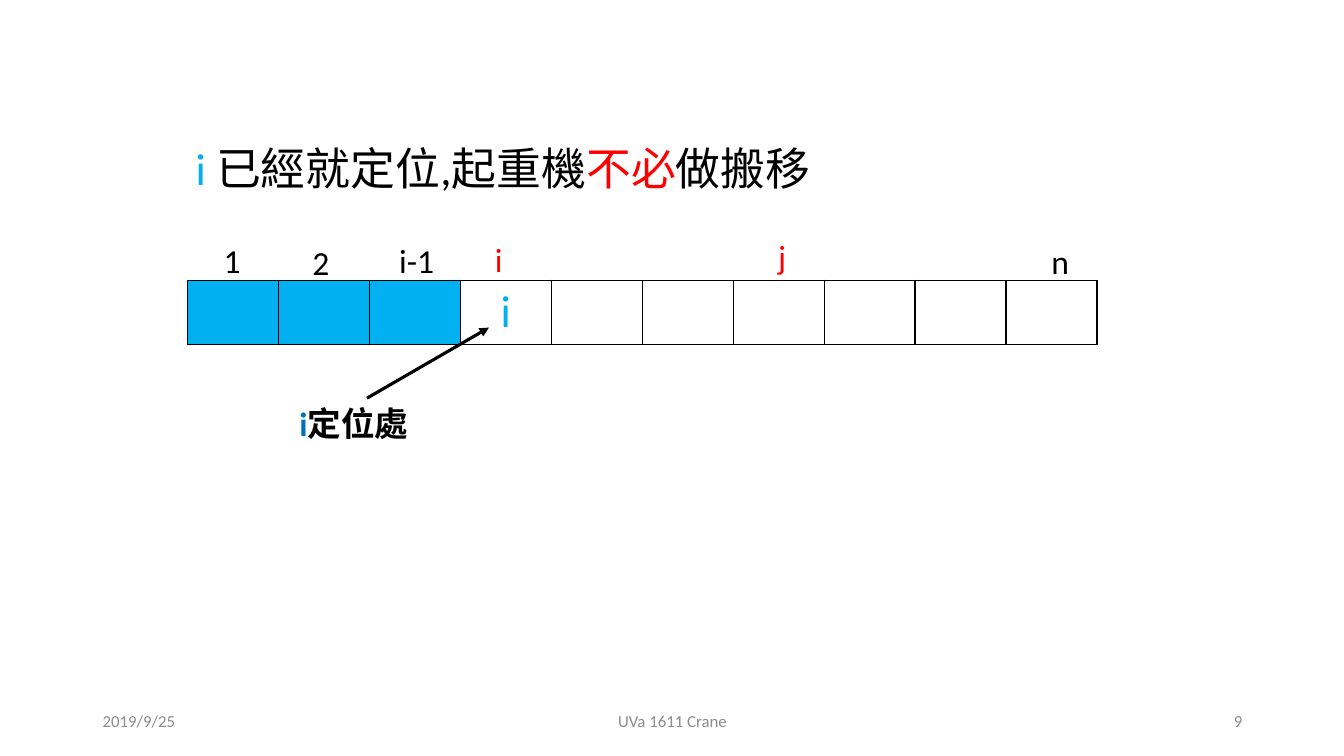
from lxml.etree import SubElement
from pptx import Presentation
from pptx.dml.color import RGBColor
from pptx.enum.shapes import MSO_CONNECTOR
from pptx.enum.text import MSO_ANCHOR, MSO_AUTO_SIZE, PP_ALIGN
from pptx.oxml import parse_xml
from pptx.oxml.ns import nsdecls, qn
from pptx.util import Inches, Pt

LATIN_FONT = "Calibri"
ASIAN_FONT = "Noto Sans CJK SC"
BLACK, RED, SKY, BLUE, GREY = "000000", "FF0000", "00B0F0", "0070C0", "8C8C8C"

HEADLINE = [("i ", SKY), ("已經就定位,起重機", BLACK), ("不必", RED), ("做搬移", BLACK)]
CALLOUT = [("i", BLUE), ("定位處", BLACK)]
INDEX_LABELS = [
    ("1", BLACK, 2.12, 2.33, 0.35),
    ("2", BLACK, 3, 2.35, 0.62),
    ("i-1", BLACK, 3.86, 2.33, 0.69),
    ("i", RED, 4.81, 2.32, 0.35),
    ("j", RED, 7.62, 2.29, 0.35),
    ("n", BLACK, 10.33, 2.34, 0.35),
]
FOOTERS = [
    ("2019/9/25", 0.92, 3, PP_ALIGN.LEFT),
    ("UVa 1611 Crane", 4.42, 4.5, PP_ALIGN.CENTER),
    ("9", 9.42, 3, PP_ALIGN.RIGHT),
]
CELL_COUNT, PLACED_COUNT = 10, 3
TABLE_BOX = (1.86, 2.78, 9.02, 0.62)


def color(hex_string):
    return RGBColor.from_string(hex_string)


def add_runs(paragraph, runs, size, bold=False):
    for text, hex_string in runs:
        run = paragraph.add_run()
        run.text = text
        run.font.size = Pt(size)
        run.font.bold = bold
        run.font.color.rgb = color(hex_string)
        run.font.name = LATIN_FONT
        SubElement(run.font._element, qn("a:ea"), typeface=ASIAN_FONT)


def add_text(slide, box, runs, size, bold=False, align=PP_ALIGN.LEFT):
    shape = slide.shapes.add_textbox(*map(Inches, box))
    frame = shape.text_frame
    frame.word_wrap = True
    frame.paragraphs[0].alignment = align
    add_runs(frame.paragraphs[0], runs, size, bold)
    return frame


def add_borders(cell):
    properties = cell._tc.get_or_add_tcPr()
    for position, side in enumerate(("lnL", "lnR", "lnT", "lnB")):
        properties.insert(position, parse_xml(
            f'<a:{side} {nsdecls("a")} w="{Pt(1)}"><a:solidFill>'
            f'<a:srgbClr val="{BLACK}"/></a:solidFill></a:{side}>'))


def add_headline(slide):
    title = slide.shapes.title
    title.left, title.top, title.width, title.height = map(Inches, (1.84, 1.35, 6.96, 0.64))
    frame = title.text_frame
    frame.word_wrap = True
    frame.auto_size = MSO_AUTO_SIZE.SHAPE_TO_FIT_TEXT
    frame.vertical_anchor = MSO_ANCHOR.TOP
    paragraph = frame.paragraphs[0]
    paragraph.alignment = PP_ALIGN.LEFT
    paragraph.line_spacing = 1.0
    paragraph.space_before = Pt(0)
    add_runs(paragraph, HEADLINE, 32)


def add_array(slide):
    table = slide.shapes.add_table(1, CELL_COUNT, *map(Inches, TABLE_BOX)).table
    table.first_row = table.horz_banding = False
    for index in range(CELL_COUNT):
        table.columns[index].width = Inches(TABLE_BOX[2] / CELL_COUNT)
        cell = table.cell(0, index)
        if index < PLACED_COUNT:
            cell.fill.solid()
            cell.fill.fore_color.rgb = color(SKY)
        else:
            cell.fill.background()
        add_borders(cell)
    paragraph = table.cell(0, PLACED_COUNT).text_frame.paragraphs[0]
    paragraph.alignment = PP_ALIGN.CENTER
    add_runs(paragraph, [("i", SKY)], 32)


def add_arrow(slide):
    arrow = slide.shapes.add_connector(
        MSO_CONNECTOR.STRAIGHT, *map(Inches, (3.64, 3.95, 4.85, 3.25)))
    arrow.line.color.rgb = color(BLACK)
    arrow.line.width = Pt(2.25)
    SubElement(arrow.line._get_or_add_ln(), qn("a:tailEnd"), type="triangle")
    SubElement(arrow._element.spPr, qn("a:effectLst"))


def main():
    presentation = Presentation()
    presentation.slide_width, presentation.slide_height = Inches(13.33), Inches(7.5)
    slide = presentation.slides.add_slide(presentation.slide_layouts[5])
    add_headline(slide)
    for text, left, width, align in FOOTERS:
        frame = add_text(slide, (left, 6.95, width, 0.4), [(text, GREY)], 12, align=align)
        frame.vertical_anchor = MSO_ANCHOR.MIDDLE
    add_array(slide)
    for text, hex_string, left, top, width in INDEX_LABELS:
        frame = add_text(slide, (left, top, width, 0.5), [(text, hex_string)], 24)
        frame.auto_size = MSO_AUTO_SIZE.SHAPE_TO_FIT_TEXT
    callout = add_text(slide, (2.87, 3.95, 1.53, 0.5), CALLOUT, 24, bold=True)
    callout.auto_size = MSO_AUTO_SIZE.SHAPE_TO_FIT_TEXT
    add_arrow(slide)
    presentation.save("out.pptx")


if __name__ == "__main__":
    main()
